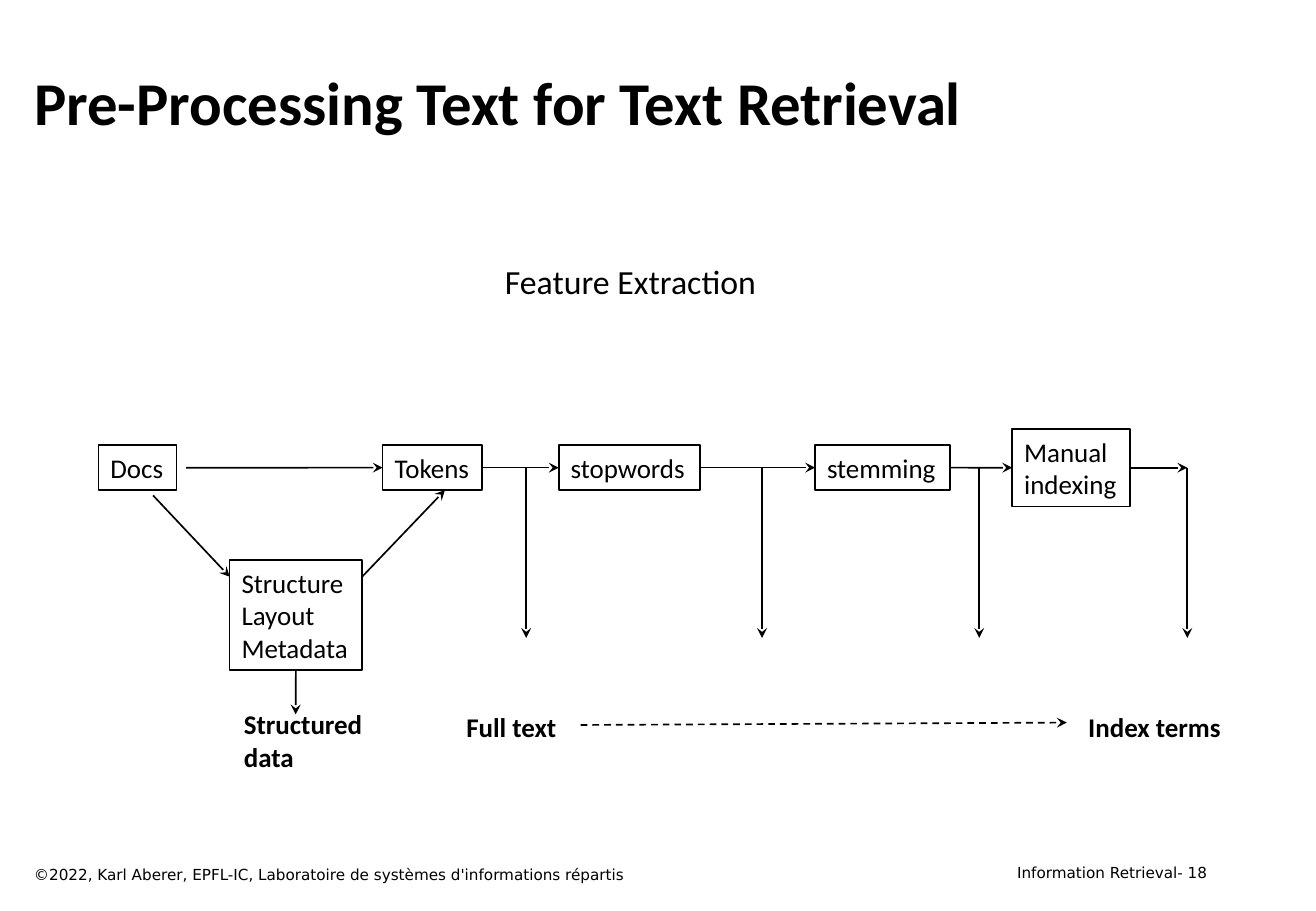
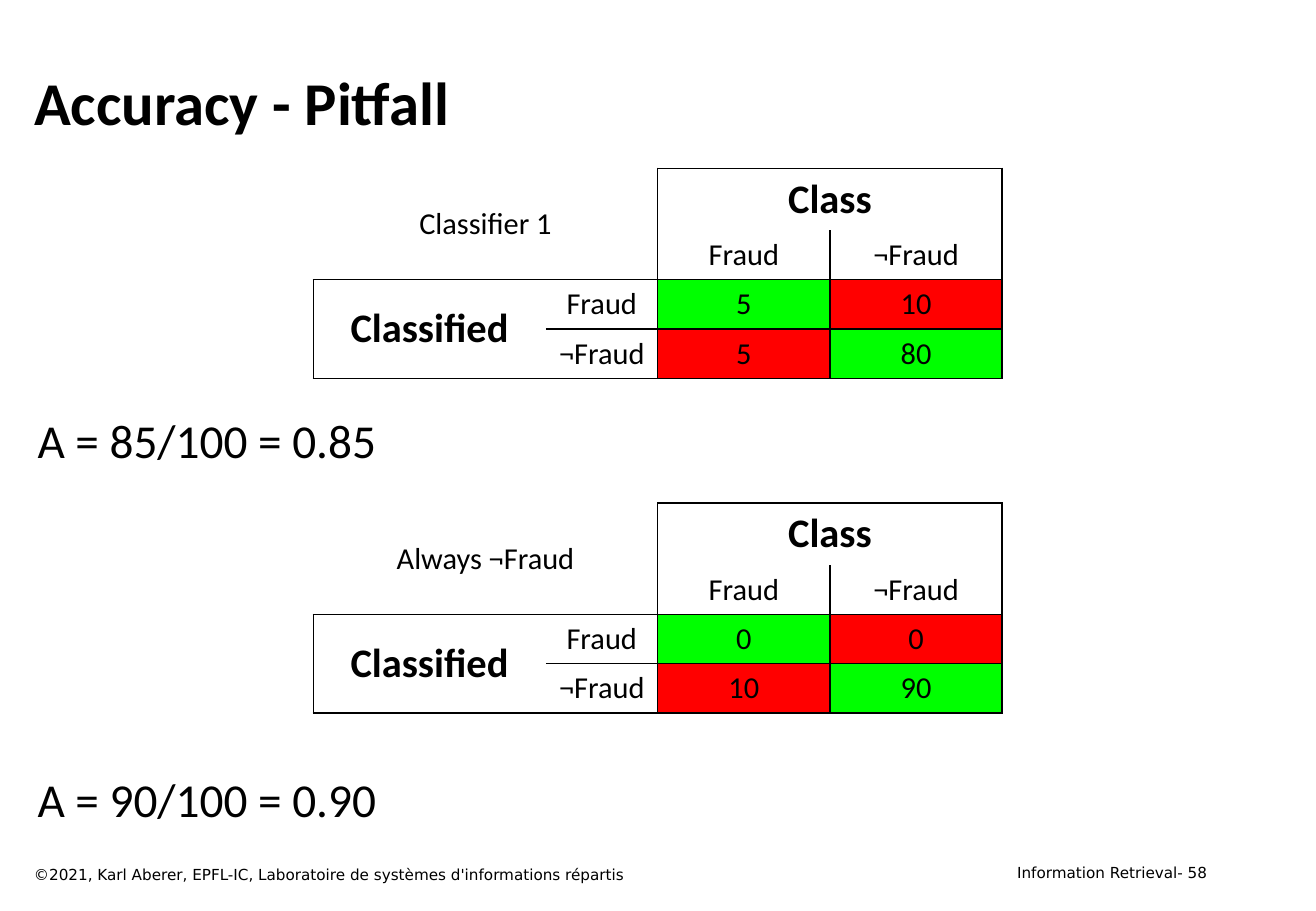
import pptx
import pptx.dml.color
import pptx.enum.dml
import pptx.enum.shapes
import pptx.enum.text
import pptx.util
from lxml import etree
from pptx.oxml.ns import qn

Cm = pptx.util.Cm
Pt = pptx.util.Pt
RGBColor = pptx.dml.color.RGBColor
ALIGN = pptx.enum.text.PP_ALIGN
ANCHOR = pptx.enum.text.MSO_ANCHOR

BLACK = RGBColor(0x00, 0x00, 0x00)
GREEN = RGBColor(0x00, 0xFF, 0x00)
RED = RGBColor(0xFF, 0x00, 0x00)
BODY_FONT = "Calibri"
FOOTER_FONT = "DejaVu Sans"

TITLE_ONLY, TITLE_AND_BODY = 5, 1
TOP, LEFT, BOTTOM, RIGHT = range(4)
FLOW_Y = 9.78
BRANCH_END_Y = 13.34

# Sides drawn around each cell of a confusion matrix.
MATRIX_BORDERS = [
    ["RB", "R", "LTR", "TR"],
    ["B", "RB", "LRB", "LRB"],
    ["LTB", "TRB", "LTRB", "LTRB"],
    ["LB", "TRB", "LTRB", "LTRB"],
]


def place(shape, left, top, width, height):
    shape.left, shape.top = Cm(left), Cm(top)
    shape.width, shape.height = Cm(width), Cm(height)


def write(frame, text, size, bold=False, align=ALIGN.LEFT, font=BODY_FONT):
    frame.text = text
    for para in frame.paragraphs:
        para.alignment = align
        for span in para.runs:
            span.font.name = font
            span.font.size = Pt(size)
            span.font.bold = bold
            span.font.color.rgb = BLACK


def add_text(page, text, left, top, width, height, size, **style):
    box = page.shapes.add_textbox(Cm(left), Cm(top), Cm(width), Cm(height))
    box.text_frame.word_wrap = True
    write(box.text_frame, text, size, **style)


def add_page(deck, layout, title, year, number):
    """Add a slide with the shared title style and footer."""
    page = deck.slides.add_slide(deck.slide_layouts[layout])
    place(page.shapes.title, 0.46, 0.84, 24.99, 2.54)
    frame = page.shapes.title.text_frame
    frame.auto_size = pptx.enum.text.MSO_AUTO_SIZE.NONE
    frame.vertical_anchor = ANCHOR.MIDDLE
    write(frame, title, 36, bold=True)
    add_text(page, f"Information Retrieval- {number}", 19.74, 17.93, 5.74, 0.64,
             9, align=ALIGN.RIGHT, font=FOOTER_FONT)
    add_text(page, f"©{year}, Karl Aberer, EPFL-IC, Laboratoire de systèmes "
             "d'informations répartis", 0.46, 17.98, 17.65, 0.64,
             9, font=FOOTER_FONT)
    return page


def add_step(page, text, left, middle, width, height):
    """Add an outlined box centred vertically on the given height."""
    step = page.shapes.add_shape(
        pptx.enum.shapes.MSO_SHAPE.RECTANGLE,
        Cm(left), Cm(middle - height / 2), Cm(width), Cm(height))
    step.shadow.inherit = False
    step.fill.background()
    step.line.color.rgb = BLACK
    step.line.width = Pt(1)
    step.text_frame.word_wrap = False
    step.text_frame.vertical_anchor = ANCHOR.MIDDLE
    write(step.text_frame, text, 16)
    return step


def add_arrow(page, start, end, dashed=False):
    """Join two ends, each a (x, y) point or a (shape, side) pair."""
    free = [(0, 0) if hasattr(point[0], "shape_id") else point
            for point in (start, end)]
    arrow = page.shapes.add_connector(
        pptx.enum.shapes.MSO_CONNECTOR.STRAIGHT,
        *(Cm(value) for point in free for value in point))
    for point, connect in ((start, arrow.begin_connect), (end, arrow.end_connect)):
        if hasattr(point[0], "shape_id"):
            connect(*point)
    arrow.line.color.rgb = BLACK
    arrow.line.width = Pt(1)
    if dashed:
        arrow.line.dash_style = pptx.enum.dml.MSO_LINE.DASH
    properties = arrow.line._get_or_add_ln()
    etree.SubElement(properties, qn("a:tailEnd"), type="stealth")
    etree.SubElement(properties.getparent(), qn("a:effectLst"))


def set_borders(cell, sides):
    properties = cell._tc.get_or_add_tcPr()
    for side in "LRTB":
        line = etree.SubElement(properties, qn(f"a:ln{side}"), w=str(Pt(1)))
        if side in sides:
            fill = etree.SubElement(line, qn("a:solidFill"))
            etree.SubElement(fill, qn("a:srgbClr"), val=str(BLACK))
        else:
            etree.SubElement(line, qn("a:noFill"))


def add_matrix(page, top, name, counts):
    """Add a confusion matrix; its diagonal holds the correct decisions."""
    widths = (4.86, 2.34, 3.6, 3.6)
    heights = (1.3, 1.03, 1.03, 1.03)
    table = page.shapes.add_table(4, 4, Cm(6.55), Cm(top), Cm(sum(widths)),
                                  Cm(sum(heights))).table
    table.first_row = table.horz_banding = False
    for column, width in zip(table.columns, widths):
        column.width = Cm(width)
    for row, height in zip(table.rows, heights):
        row.height = Cm(height)

    labels = ("Fraud", "¬Fraud")
    texts = [
        [name, "", "Class", ""],
        ["", "", *labels],
        ["Classified", labels[0], *counts[0]],
        ["", labels[1], *counts[1]],
    ]
    for r, row in enumerate(texts):
        for c, text in enumerate(row):
            cell = table.cell(r, c)
            set_borders(cell, MATRIX_BORDERS[r][c])
            if r > 1 and c > 1:
                cell.fill.solid()
                cell.fill.fore_color.rgb = GREEN if r == c else RED
            else:
                cell.fill.background()
            cell.vertical_anchor = ANCHOR.MIDDLE
            heading = text in ("Class", "Classified")
            if text != "":
                write(cell.text_frame, str(text), 24 if heading else 18,
                      bold=heading, align=ALIGN.CENTER)
    for first, last in (((0, 0), (1, 1)), ((0, 2), (0, 3)), ((2, 0), (3, 0))):
        table.cell(*first).merge(table.cell(*last))


def build_preprocessing(deck):
    page = add_page(deck, TITLE_ONLY, "Pre-Processing Text for Text Retrieval",
                    2022, 18)
    add_text(page, "Feature Extraction", 10.26, 5.33, 5.84, 1.12, 20,
             align=ALIGN.CENTER)
    add_step(page, "Docs", 2.06, FLOW_Y, 1.63, 0.94)
    structure = add_step(page, "Structure\nLayout\nMetadata", 4.8, 12.86, 2.77, 2.31)
    chain = [add_step(page, text, left, FLOW_Y, width, height)
             for text, left, width, height in (
                 ("Tokens", 8, 2.08, 0.94),
                 ("stopwords", 11.68, 2.95, 0.94),
                 ("stemming", 17.04, 2.82, 0.94),
                 ("Manual\nindexing", 21.16, 2.46, 1.63))]

    add_arrow(page, (3.89, FLOW_Y), (chain[0], LEFT))
    for before, after in zip(chain, chain[1:]):
        add_arrow(page, (before, RIGHT), (after, LEFT))
    add_arrow(page, (chain[-1], RIGHT), (24.82, FLOW_Y))
    for x in (11, 15.93, 20.47, 24.82):
        add_arrow(page, (x, FLOW_Y), (x, BRANCH_END_Y))
    add_arrow(page, (3.2, 10.36), (4.8, 12.06))
    add_arrow(page, (7.57, 12.06), (9.3, 10.25))
    add_arrow(page, (structure, BOTTOM), (6.18, 14.94))

    for text, left, top, width, height in (
            ("Structured\ndata", 4.85, 14.68, 3.02, 1.63),
            ("Full text", 9.5, 14.73, 3.25, 0.94),
            ("Index terms", 22.5, 14.73, 3.33, 0.94)):
        add_text(page, text, left, top, width, height, 16, bold=True)
    add_arrow(page, (12.14, 15.16), (22.3, 15.11), dashed=True)


def build_accuracy(deck):
    page = add_page(deck, TITLE_AND_BODY, "Accuracy - Pitfall", 2021, 58)
    body = page.placeholders[1]
    place(body, 0.53, 8.47, 24.99, 9.23)
    frame = body.text_frame
    frame.auto_size = pptx.enum.text.MSO_AUTO_SIZE.NONE
    frame.vertical_anchor = ANCHOR.TOP
    write(frame, "A = 85/100 = 0.85\nA = 90/100 = 0.90", 28)
    for para, gap in zip(frame.paragraphs, (0, 179)):
        para.space_before = Pt(gap)
        properties = para._p.get_or_add_pPr()
        properties.set("marL", "0")
        properties.set("indent", "0")
        etree.SubElement(properties, qn("a:buNone"))
    add_matrix(page, 3.52, "Classifier 1", ((5, 10), (5, 80)))
    add_matrix(page, 10.52, "Always ¬Fraud", ((0, 0), (10, 90)))


def main():
    deck = pptx.Presentation()
    deck.slide_width, deck.slide_height = Cm(27.51), Cm(19.05)
    build_preprocessing(deck)
    build_accuracy(deck)
    deck.save("out.pptx")


if __name__ == "__main__":
    main()
